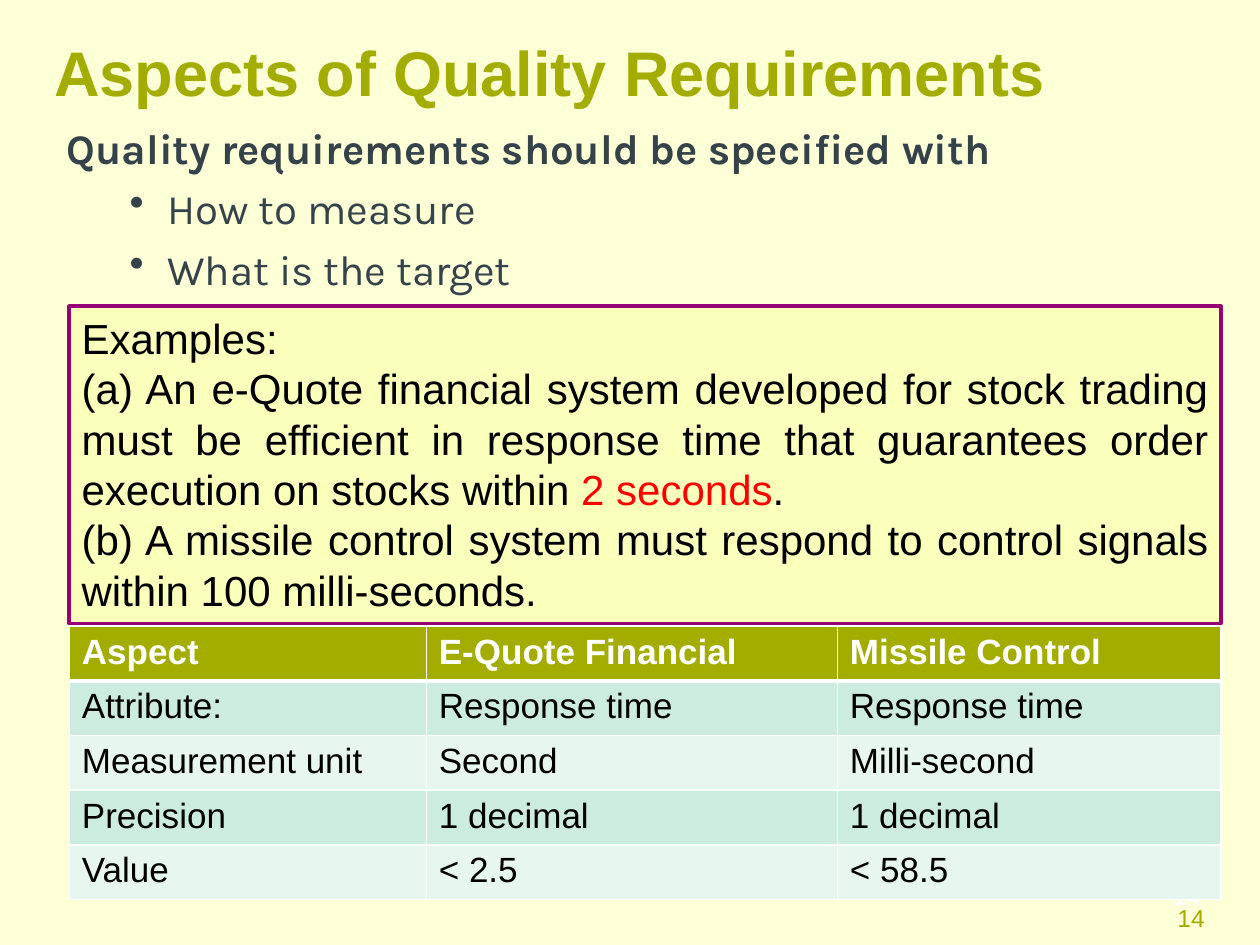
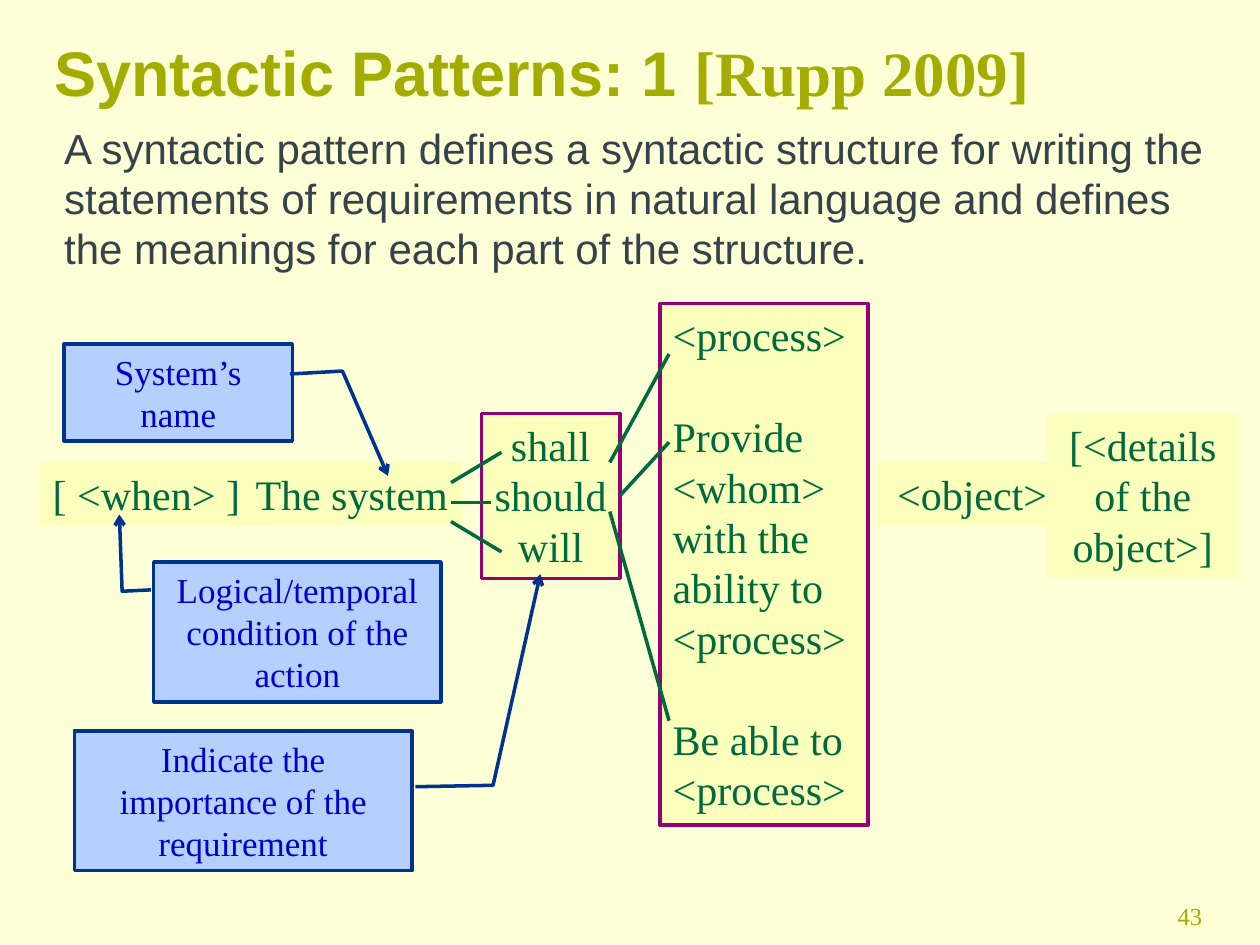
from dataclasses import dataclass

from lxml import etree
from pptx import Presentation
from pptx import util as u
from pptx.dml.color import RGBColor
from pptx.enum import shapes, text
from pptx.oxml.ns import qn

COLUMNS, ROWS = 100, 75
SLIDE_W, SLIDE_H = u.Inches(10), u.Inches(7.5)
ALIGN = text.PP_ALIGN


@dataclass(frozen=True)
class Theme:
    page: str = "FDFFD7"
    cream: str = "FBFFBC"
    olive: str = "A2AD00"
    slate: str = "36424A"
    plum: str = "970074"
    green: str = "00693E"
    navy: str = "00338E"
    sky: str = "B5D0FF"
    blue: str = "0000CC"
    red: str = "FF0000"
    black: str = "000000"
    white: str = "FFFFFF"
    bands: tuple = ("CBECDE", "E7F6EF")
    sans: str = "Arial"
    serif: str = "Times New Roman"
    accent: str = "Karla"
    title: int = 36
    body: int = 24
    note: int = 20
    page_number: int = 14
    leading: float = 1.2


T = Theme()


@dataclass(frozen=True)
class Box:
    """A region in grid columns and rows."""
    x: float
    y: float
    w: float = 0
    h: float = 0

    def at(self, x, y, w=0, h=0):
        return Box(self.x + x, self.y + y, w, h)

    def emu(self):
        col, row = SLIDE_W / COLUMNS, SLIDE_H / ROWS
        return [round(v) for v in (self.x * col, self.y * row,
                                   self.w * col, self.h * row)]


@dataclass(frozen=True)
class Style:
    size: int
    font: str
    color: str
    bold: bool = False
    align: ALIGN = ALIGN.LEFT


def rgb(code):
    return RGBColor.from_string(code)


def write(paragraph, words, style, color=None, font=None):
    run = paragraph.add_run()
    run.text = words
    run.font.size = u.Pt(style.size)
    run.font.name = font or style.font
    run.font.bold = style.bold
    run.font.color.rgb = rgb(color or style.color)


def next_paragraph(frame, style, leading=T.leading, before=0):
    """Return the frame's unused first paragraph, or a new one."""
    first = frame.paragraphs[0]
    paragraph = frame.add_paragraph() if first.runs else first
    paragraph.alignment = style.align
    paragraph.line_spacing = u.Pt(round(style.size * leading, 1))
    if before and paragraph is not first:
        paragraph.space_before = u.Pt(before)
    return paragraph


def mark(paragraph, tag, indent=0, hang=0, **attributes):
    """Give a paragraph a bullet or an automatic number."""
    props = paragraph._p.get_or_add_pPr()
    props.set("marL", str(u.Inches(indent)))
    props.set("indent", str(-u.Inches(hang)))
    etree.SubElement(props, qn(tag), attributes)


def text_box(slide, box, left_inset=0.1):
    frame = slide.shapes.add_textbox(*box.emu()).text_frame
    frame.word_wrap = True
    frame.margin_left = u.Inches(left_inset)
    return frame


def panel(slide, box, fill, line=None, kind=shapes.MSO_SHAPE.RECTANGLE, wrap=True):
    shape = slide.shapes.add_shape(kind, *box.emu())
    shape.shadow.inherit = False
    shape.fill.solid()
    shape.fill.fore_color.rgb = rgb(fill)
    if line:
        shape.line.color.rgb = rgb(line)
        shape.line.width = u.Pt(2)
    else:
        shape.line.fill.background()
    shape.text_frame.word_wrap = wrap
    shape.text_frame.vertical_anchor = text.MSO_ANCHOR.TOP
    return shape


def new_slide(deck, title_runs):
    slide = deck.slides.add_slide(deck.slide_layouts[6])
    slide.background.fill.solid()
    slide.background.fill.fore_color.rgb = rgb(T.page)
    frame = text_box(slide, Box(4.3, 2.1, 92.5, 7.1), 0)
    frame.vertical_anchor = text.MSO_ANCHOR.MIDDLE
    style = Style(T.title, T.sans, T.olive, True)
    for words, font in title_runs:
        write(frame.paragraphs[0], words, style, font=font)
    return slide


def page_number(slide, box, number, style):
    paragraph = text_box(slide, box).paragraphs[0]
    paragraph.alignment = style.align
    write(paragraph, number, style)


def specification_list(slide, box):
    frame = text_box(slide, box)
    loose = T.leading ** 2
    heading = Style(T.body, T.accent, T.slate, True, ALIGN.JUSTIFY)
    write(next_paragraph(frame, heading, loose),
          "Quality requirements should be specified with", heading)
    item = Style(T.body, T.accent, T.slate, align=ALIGN.JUSTIFY)
    for words in ("How to measure", "What is the target"):
        paragraph = next_paragraph(frame, item, loose)
        mark(paragraph, "a:buChar", 0.8, 0.3, char="•")
        write(paragraph, words, item)


def border(cell, side, width):
    line = etree.SubElement(cell._tc.get_or_add_tcPr(), qn("a:" + side),
                            w=str(u.Pt(width)))
    fill = etree.SubElement(line, qn("a:solidFill"))
    etree.SubElement(fill, qn("a:srgbClr"), val=T.white)


def aspect_table(slide, box):
    records = [
        ("Aspect", "E-Quote Financial", "Missile Control"),
        ("Attribute:", "Response time", "Response time"),
        ("Measurement unit", "Second", "Milli-second"),
        ("Precision", "1 decimal", "1 decimal"),
        ("Value", "< 2.5", "< 58.5"),
    ]
    table = slide.shapes.add_table(len(records), 3, *box.emu()).table
    for column, share in zip(table.columns, (0.31, 0.357, 0.333)):
        column.width = round(box.emu()[2] * share)
    for r, record in enumerate(records):
        header = r == 0
        style = Style(T.note, T.sans, T.white if header else T.black, header)
        for c, words in enumerate(record):
            cell = table.cell(r, c)
            for side, width in (("lnL", 1), ("lnR", 1), ("lnT", 3 if r == 1 else 1),
                                ("lnB", 3 if header else 1)):
                border(cell, side, width)
            cell.fill.solid()
            cell.fill.fore_color.rgb = rgb(T.olive if header else T.bands[(r - 1) % 2])
            write(cell.text_frame.paragraphs[0], words, style)


def example_panel(slide, box):
    frame = panel(slide, box, T.cream, T.plum).text_frame
    heading = Style(T.body, T.sans, T.black)
    write(next_paragraph(frame, heading), "Examples:", heading)
    style = Style(T.body, T.sans, T.black, align=ALIGN.JUSTIFY)
    examples = [
        [(" An e-Quote financial system developed for stock trading must be efficient "
          "in response time that guarantees order execution on stocks within ", None),
         ("2 seconds", T.red), (".", None)],
        [(" A missile control system must respond to control signals within "
          "100 milli-seconds.", None)],
    ]
    for example in examples:
        paragraph = next_paragraph(frame, style)
        mark(paragraph, "a:buAutoNum", type="alphaLcParenBoth")
        for words, color in example:
            write(paragraph, words, style, color)


def pattern_part(slide, box, lines, line=None, align=ALIGN.LEFT, wrap=True, before=0):
    shape = panel(slide, box, T.cream, line, wrap=wrap)
    style = Style(T.body, T.serif, T.green, align=align)
    for words in lines:
        write(next_paragraph(shape.text_frame, style, before=before), words, style)
    return shape


def callout(slide, box, words, leader):
    """Place an explanation whose leader ends in an arrow."""
    shape = panel(slide, box, T.sky, T.navy, shapes.MSO_SHAPE.LINE_CALLOUT_2)
    for i, share in enumerate(leader):
        shape.adjustments[i] = share
    etree.SubElement(shape.line._get_or_add_ln(), qn("a:tailEnd"), type="arrow")
    style = Style(T.note, T.serif, T.blue, align=ALIGN.CENTER)
    write(next_paragraph(shape.text_frame, style), words, style)


def branch(slide, start, end):
    line = slide.shapes.add_connector(shapes.MSO_CONNECTOR.STRAIGHT,
                                      *start.emu()[:2], *end.emu()[:2])
    line.line.color.rgb = rgb(T.green)
    line.line.width = u.Pt(2)
    etree.SubElement(line._element.spPr, qn("a:effectLst"))
    return line


def pattern_diagram(slide, box):
    middle, tall = 12.6, 8.7
    center = ALIGN.CENTER
    pattern_part(slide, box.at(0, middle, 18.1, 5), ["[ <when> ]"])
    pattern_part(slide, box.at(16.1, middle, 17.4, 5), ["The system"], wrap=False)
    modal = pattern_part(slide, box.at(35, tall, 11, 13.1), ["shall", "should", "will"],
                         T.plum, center, wrap=False)
    pattern_part(slide, box.at(49.2, 0, 16.5, 41.4),
                 ["<process>", "Provide <whom> with the ability to <process>",
                  "Be able to <process>"], T.plum, before=T.body * T.leading)
    pattern_part(slide, box.at(66.5, middle, 14.9, 5), ["<object>"],
                 align=center, wrap=False)
    pattern_part(slide, box.at(79.9, tall, 15.2, 13.1), ["[<details of the object>]"],
                 align=center)

    callout(slide, box.at(9, 20.5, 22.8, 11.1), "Logical/temporal condition of the action",
            (0.2, -0.01, 0.21, -0.11, -0.34, -0.12))
    callout(slide, box.at(1.9, 3.2, 18.1, 7.7), "System’s name",
            (0.31, 0.99, 0.28, 1.22, 1.36, 1.42))
    callout(slide, box.at(2.7, 33.9, 26.8, 11.1),
            "Indicate the importance of the requirement",
            (0.4, 1.01, 0.39, 1.24, -1.12, 1.38))

    for x1, y1, x2, y2 in ((32.6, 14.2, 36.6, 11.8), (32.6, 15.8, 35.8, 15.8),
                           (32.6, 17.3, 36.6, 19.7), (45.2, 12.6, 49.9, 4),
                           (45.2, 16.5, 49.9, 33.1)):
        branch(slide, box.at(x1, y1), box.at(x2, y2))
    branch(slide, box.at(46, 15.2), box.at(49.9, 11)).begin_connect(modal, 3)


def aspects_slide(deck):
    slide = new_slide(deck, [("Aspects of Quality Requirements", T.sans)])
    page_number(slide, Box(90.9, 71.2, 5.7, 3.9), "14",
                Style(T.page_number, T.sans, T.olive, align=ALIGN.RIGHT))
    page_number(slide, Box(92.1, 69.4, 5.7, 3.9), "14",
                Style(T.page_number, T.sans, T.white, True))
    specification_list(slide, Box(4.3, 8.4, 92.9, 16.9))
    aspect_table(slide, Box(5.5, 49.7, 91.4, 20.5))
    example_panel(slide, Box(5.5, 24.3, 91.4, 25.2))


def patterns_slide(deck):
    slide = new_slide(deck, [("Syntactic Patterns: 1 ", T.sans), ("[Rupp 2009]", T.serif)])
    frame = text_box(slide, Box(5.1, 9.2, 93.1, 14.2), 0)
    style = Style(T.body, T.sans, T.slate)
    write(next_paragraph(frame, style),
          "A syntactic pattern defines a syntactic structure for writing the statements "
          "of requirements in natural language and defines the meanings for each part "
          "of the structure.", style)
    page_number(slide, Box(90.7, 71, 5.7, 3.9), "43",
                Style(T.page_number, T.serif, T.olive, align=ALIGN.RIGHT))
    pattern_diagram(slide, Box(3.2, 24.1, 95.1, 45))


def main():
    deck = Presentation()
    deck.slide_width, deck.slide_height = SLIDE_W, SLIDE_H
    aspects_slide(deck)
    patterns_slide(deck)
    deck.save("out.pptx")


if __name__ == "__main__":
    main()
